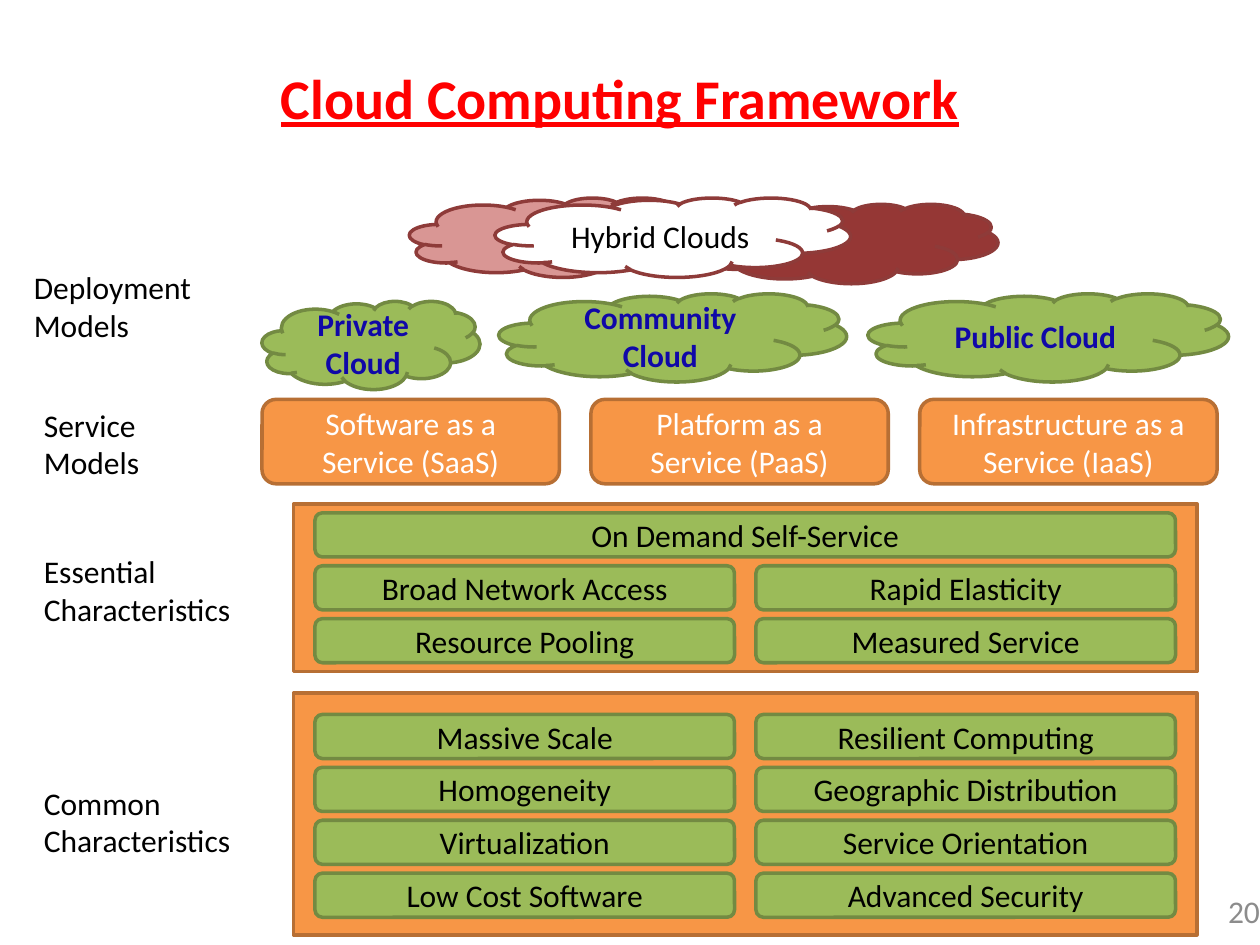
"""Build the cloud computing framework slide."""
from dataclasses import dataclass

import pptx
import pptx.dml.color
import pptx.enum.shapes
import pptx.enum.text
import pptx.shapes.autoshape
import pptx.shapes.shapetree
import pptx.slide
import pptx.util

Inches = pptx.util.Inches
RGBColor = pptx.dml.color.RGBColor
Kind = pptx.enum.shapes.MSO_SHAPE
Align = pptx.enum.text.PP_ALIGN
Anchor = pptx.enum.text.MSO_ANCHOR
AutoSize = pptx.enum.text.MSO_AUTO_SIZE

RED = RGBColor(0xFF, 0x00, 0x00)
GRAY = RGBColor(0x8C, 0x8C, 0x8C)
BLACK = RGBColor(0x00, 0x00, 0x00)
WHITE = RGBColor(0xFF, 0xFF, 0xFF)
BLUE = RGBColor(0x10, 0x08, 0xA8)
GREEN = RGBColor(0x9B, 0xBB, 0x59)
GREEN_EDGE = RGBColor(0x73, 0x8A, 0x42)
ORANGE = RGBColor(0xF7, 0x96, 0x46)
ORANGE_EDGE = RGBColor(0xB7, 0x6F, 0x34)
MAROON = RGBColor(0x95, 0x37, 0x35)
PINK = RGBColor(0xD9, 0x96, 0x94)
MAROON_EDGE = RGBColor(0x8E, 0x3B, 0x39)

COLUMN_LEFTS = (2.5, 6)
BAR_WIDTH = 3.33
WIDE_BAR_WIDTH = 6.83
BAR_HEIGHT = 0.35
ROW_STEP = 0.42
SERVICE_STEP = 2.61


@dataclass(frozen=True)
class Area:
    left: float
    top: float
    width: float
    height: float

    def lengths(self) -> tuple[int, ...]:
        return tuple(Inches(side) for side in (self.left, self.top, self.width, self.height))


@dataclass(frozen=True)
class Style:
    kind: Kind
    fill: RGBColor
    edge: RGBColor
    ink: RGBColor = BLACK
    bold: bool = False


@dataclass(frozen=True)
class Panel:
    area: Area
    first_row: float
    rows: tuple[tuple[str, ...], ...]


@dataclass(frozen=True)
class Label:
    area: Area
    text: str


DEPLOYMENT = Style(Kind.CLOUD, GREEN, GREEN_EDGE, BLUE, True)
SERVICE = Style(Kind.ROUNDED_RECTANGLE, ORANGE, ORANGE_EDGE, WHITE)
PANEL = Style(Kind.RECTANGLE, ORANGE, ORANGE_EDGE)
BAR = Style(Kind.ROUNDED_RECTANGLE, GREEN, GREEN_EDGE)

DEPLOYMENT_CLOUDS = (
    (Area(3.96, 2.33, 2.76, 0.7), "Community\nCloud"),
    (Area(2.08, 2.39, 1.73, 0.7), "Private Cloud"),
    (Area(6.89, 2.33, 2.86, 0.7), "Public Cloud"),
)
HYBRID_CLOUDS = (
    (Area(5.54, 1.62, 2.38, 0.63), MAROON, ""),
    (Area(3.25, 1.57, 2.38, 0.63), PINK, ""),
    (Area(3.93, 1.57, 2.82, 0.63), WHITE, "Hybrid Clouds"),
)
SERVICES = (
    "Software as a Service (SaaS)",
    "Platform as a Service (PaaS)",
    "Infrastructure as a Service (IaaS)",
)
LABELS = (
    Label(Area(0.17, 2.08, 1.55, 0.71), "Deployment\nModels"),
    Label(Area(0.25, 3.17, 1.04, 0.71), "Service\nModels"),
    Label(Area(0.25, 4.33, 1.87, 0.71), "Essential\nCharacteristics"),
    Label(Area(0.25, 6.17, 1.87, 0.71), "Common\nCharacteristics"),
)
PANELS = (
    Panel(Area(2.33, 4, 7.17, 1.33), 4.07, (
        ("On Demand Self-Service",),
        ("Broad Network Access", "Rapid Elasticity"),
        ("Resource Pooling", "Measured Service"),
    )),
    Panel(Area(2.33, 5.5, 7.17, 1.92), 5.67, (
        ("Massive Scale", "Resilient Computing"),
        ("Homogeneity", "Geographic Distribution"),
        ("Virtualization", "Service Orientation"),
        ("Low Cost Software", "Advanced Security"),
    )),
)


def write(frame: pptx.text.text.TextFrame, text: str, ink: RGBColor, align: Align,
          size: int = 18, bold: bool = False, underline: bool = False) -> None:
    frame.text = text
    for para in frame.paragraphs:
        para.alignment = align
        para.font.name = "Calibri"
        para.font.size = pptx.util.Pt(size)
        para.font.bold = bold
        para.font.underline = underline
        para.font.color.rgb = ink


def draw_shape(shapes: pptx.shapes.shapetree.GroupShapes, area: Area, style: Style,
               text: str = "") -> None:
    shape = shapes.add_shape(style.kind, *area.lengths())
    shape.shadow.inherit = False
    shape.fill.solid()
    shape.fill.fore_color.rgb = style.fill
    shape.line.color.rgb = style.edge
    shape.line.width = pptx.util.Pt(2)
    if text:
        shape.text_frame.vertical_anchor = Anchor.MIDDLE
        write(shape.text_frame, text, style.ink, Align.CENTER, bold=style.bold)


def draw_panel(shapes: pptx.shapes.shapetree.GroupShapes, panel: Panel) -> None:
    draw_shape(shapes, panel.area, PANEL)
    for row, names in enumerate(panel.rows):
        width = WIDE_BAR_WIDTH if len(names) == 1 else BAR_WIDTH
        for left, name in zip(COLUMN_LEFTS, names):
            area = Area(left, panel.first_row + row * ROW_STEP, width, BAR_HEIGHT)
            draw_shape(shapes, area, BAR, name)


def draw_label(page: pptx.slide.Slide, label: Label) -> None:
    box = page.shapes.add_textbox(*label.area.lengths())
    box.text_frame.word_wrap = False
    box.text_frame.auto_size = AutoSize.SHAPE_TO_FIT_TEXT
    write(box.text_frame, label.text, BLACK, Align.LEFT)


def add_flush_box(page: pptx.slide.Slide, area: Area) -> pptx.text.text.TextFrame:
    frame = page.shapes.add_textbox(*area.lengths()).text_frame
    frame.word_wrap = True
    frame.margin_left = frame.margin_right = frame.margin_top = frame.margin_bottom = 0
    return frame


def main() -> None:
    deck = pptx.Presentation()
    deck.slide_width, deck.slide_height = Inches(10), Inches(7.5)
    page = deck.slides.add_slide(deck.slide_layouts[6])

    title = add_flush_box(page, Area(0.42, 0.5, 9, 0.75))
    write(title, "Cloud Computing Framework", RED, Align.CENTER, 32, True, True)
    number = add_flush_box(page, Area(9.5, 7.08, 0.5, 0.25))
    write(number, "20", GRAY, Align.RIGHT)

    deployment = page.shapes.add_group_shape().shapes
    for area, text in DEPLOYMENT_CLOUDS:
        draw_shape(deployment, area, DEPLOYMENT, text)
    hybrid = page.shapes.add_group_shape().shapes
    for area, fill, text in HYBRID_CLOUDS:
        draw_shape(hybrid, area, Style(Kind.CLOUD, fill, MAROON_EDGE), text)
    for label in LABELS:
        draw_label(page, label)
    services = page.shapes.add_group_shape().shapes
    for column, text in enumerate(SERVICES):
        draw_shape(services, Area(2.08 + column * SERVICE_STEP, 3.17, 2.36, 0.67), SERVICE, text)
    for panel in PANELS:
        draw_panel(page.shapes.add_group_shape().shapes, panel)

    deck.save("out.pptx")


if __name__ == "__main__":
    main()
